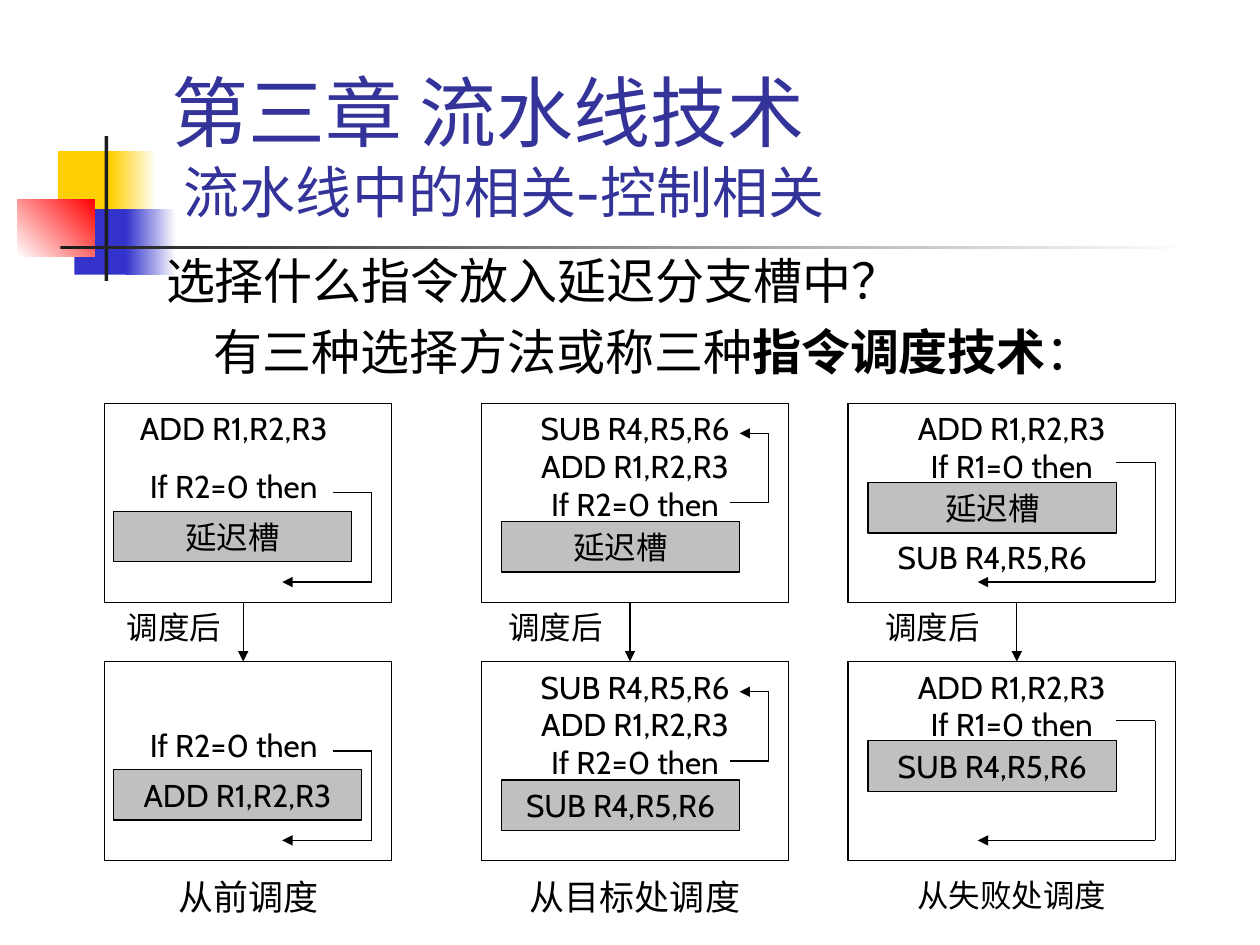
from lxml.etree import SubElement
from pptx import Presentation
from pptx.dml.color import RGBColor
from pptx.enum.shapes import MSO_CONNECTOR as CONN, MSO_SHAPE as SHAPE
from pptx.enum.text import MSO_ANCHOR as ANCHOR, MSO_AUTO_SIZE as FIT, PP_ALIGN as ALIGN
from pptx.oxml.ns import qn
from pptx.util import Inches, Pt

COLORS = {"black": "000000", "white": "FFFFFF", "slot": "C0C0C0", "title": "333399",
          "yellow": "FFCF01", "blue": "3333CC", "red": "FF0000", "ink": "1C1C1C"}
LATIN, CJK = "Cabin", "Noto Sans CJK SC"

# Grid: two rows of panels, three columns
ROW_TOP, ROW_STEP, PANEL_H = 3.2, 2.05, 1.58
CAPTION_TOP = 6.9
LINE_H, GAP = 0.3, 11.2

# Lengths inside a column are measured from its panel's top left corner
COLUMNS = [
    dict(left=0.83, width=2.28, text_w=2.05, space=GAP, slot=(0.07, 0.86), slot_w=(1.89, 1.97),
         loop=[(1.81, 0.71), (2.12, 0.71), (2.12, 1.42), (1.41, 1.42)], arrow=1.1,
         code=(["ADD R1,R2,R3", "If R2=0 then"], ["If R2=0 then"]), code_top=(0, 0.46),
         filler="ADD R1,R2,R3", after=None, caption="从前调度", size=20),
    dict(left=3.82, width=2.44, text_w=2.44, space=0, slot=(0.16, 0.94), slot_w=(1.89, 1.89),
         loop=[(1.97, 0.79), (2.28, 0.79), (2.28, 0.24), (2.05, 0.24)], arrow=1.18,
         code=(["SUB R4,R5,R6", "ADD R1,R2,R3", "If R2=0 then"],) * 2, code_top=(0, 0),
         filler="SUB R4,R5,R6", after=None, caption="从目标处调度", size=20),
    dict(left=6.73, width=2.6, text_w=2.6, space=0, slot=(0.16, 0.63), slot_w=(1.97, 1.97),
         loop=[(2.13, 0.47), (2.44, 0.47), (2.44, 1.42), (1.03, 1.42)], arrow=1.34,
         code=(["ADD R1,R2,R3", "If R1=0 then"],) * 2, code_top=(0, 0),
         filler="SUB R4,R5,R6", after="SUB R4,R5,R6", caption="从失败处调度", size=18),
]


def rgb(name):
    return RGBColor.from_string(COLORS[name])


def add_run(p, text, size=18, color="black", bold=False, font=LATIN):
    r = p.add_run()
    r.text = text
    r.font.size, r.font.bold, r.font.name = Pt(size), bold, font
    r.font.color.rgb = rgb(color)
    SubElement(r._r.get_or_add_rPr(), qn("a:ea"), typeface=font)
    return r


def write(tf, lines, align=ALIGN.CENTER, space=0, **fmt):
    """Fill a text frame with one paragraph per line."""
    tf.word_wrap = True
    for i, line in enumerate(lines):
        p = tf.add_paragraph() if i else tf.paragraphs[0]
        p.alignment = align
        p.space_before = Pt(space if i else 0)
        add_run(p, line, **fmt)


def add_text(shapes, x, y, w, lines, **fmt):
    height = 0.1 + LINE_H * len(lines)
    s = shapes.add_textbox(Inches(x), Inches(y), Inches(w), Inches(height))
    write(s.text_frame, lines, **fmt)
    return s


def add_box(shapes, x, y, w, h, fill=None, end=None, angle=0, outline=None):
    """Rectangle with a plain fill, or a gradient from fill to end."""
    s = shapes.add_shape(SHAPE.RECTANGLE, Inches(x), Inches(y), Inches(w), Inches(h))
    s.shadow.inherit = False
    if end:
        s.fill.gradient()
        s.fill.gradient_angle = angle
        for stop, name, pos in zip(s.fill.gradient_stops, (fill, end), (0, 1)):
            stop.color.rgb, stop.position = rgb(name), pos
    elif fill:
        s.fill.solid()
        s.fill.fore_color.rgb = rgb(fill)
    else:
        s.fill.background()
    if outline:
        s.line.color.rgb, s.line.width = rgb(outline), Pt(0.75)
    else:
        s.line.fill.background()
    return s


def add_path(shapes, points):
    """Straight segments through the points, with an arrowhead at the end."""
    for start, end in zip(points, points[1:]):
        c = shapes.add_connector(CONN.STRAIGHT, *map(Inches, start + end))
        c.line.color.rgb, c.line.width = rgb("black"), Pt(0.75)
        SubElement(c._element.spPr, qn("a:effectLst"))
    SubElement(c.line._get_or_add_ln(), qn("a:tailEnd"), type="triangle")


def add_decoration(shapes):
    add_box(shapes, 0.46, 1.2, 0.48, 0.52, "yellow")
    add_box(shapes, 0.88, 1.2, 0.36, 0.52, "yellow", "white")
    add_box(shapes, 0.59, 1.66, 0.46, 0.52, "blue")
    add_box(shapes, 1, 1.66, 0.4, 0.52, "blue", "white")
    add_box(shapes, 0.14, 1.58, 0.61, 0.46, "white", "red", angle=45)
    add_box(shapes, 0.83, 1.08, 0.03, 1.15, "ink")
    add_box(shapes, 0.48, 1.95, 9, 0.03, "ink", "white")


def add_title(s):
    s.left, s.top, s.width, s.height = map(Inches, (1.26, 0.23, 8.52, 1.6))
    tf = s.text_frame
    tf.auto_size, tf.vertical_anchor = FIT.NONE, ANCHOR.BOTTOM
    p = tf.paragraphs[0]
    p.alignment = ALIGN.LEFT
    add_run(p, "第三章 流水线技术", size=44, color="title", font=CJK)
    p.add_line_break()
    add_run(p, " 流水线中的相关-控制相关", size=32, color="title")


def add_intro(shapes):
    s = add_text(shapes, 1.22, 1.94, 8.5, ["选择什么指令放入延迟分支槽中？", "有三种选择方法或称三种"],
                 align=ALIGN.LEFT, space=7, size=28)
    s.height = Inches(1.15)
    p = s.text_frame.paragraphs[1]
    p._p.get_or_add_pPr().set("marL", str(Inches(0.38)))
    add_run(p, "指令调度技术", size=28, bold=True)
    add_run(p, "：", size=28)


def add_panel(slide, col, row):
    shapes = slide.shapes.add_group_shape().shapes
    x, y = col["left"], ROW_TOP + row * ROW_STEP
    add_box(shapes, x, y, col["width"], PANEL_H, outline="black")
    add_text(shapes, x, y + col["code_top"][row], col["text_w"], col["code"][row],
             space=col["space"])
    # Delay slot: empty before scheduling, filled after it
    dx, dy = col["slot"]
    slot_w = col["slot_w"][row]
    slot = add_box(shapes, x + dx, y + dy, slot_w, 0.4, "slot", outline="black")
    slot.text_frame.vertical_anchor = ANCHOR.MIDDLE
    write(slot.text_frame, [col["filler"] if row else "延迟槽"])
    if col["after"] and not row:
        add_text(shapes, x + dx, y + dy + 0.39, slot_w, [col["after"]])
    add_path(shapes, [(x + px, y + py) for px, py in col["loop"]])


def add_column(slide, col):
    for row in range(2):
        add_panel(slide, col, row)
    # Step between the panels, and the caption below
    x, y = col["left"], ROW_TOP + PANEL_H
    arrow_x = x + col["arrow"]
    add_path(slide.shapes, [(arrow_x, y), (arrow_x, ROW_TOP + ROW_STEP)])
    add_text(slide.shapes, x, y, col["arrow"], ["调度后"])
    add_text(slide.shapes, x, CAPTION_TOP, col["width"], [col["caption"]], size=col["size"])


def main():
    prs = Presentation()
    prs.slide_width, prs.slide_height = Inches(10), Inches(7.5)
    slide = prs.slides.add_slide(prs.slide_layouts[5])
    add_decoration(slide.shapes)
    add_title(slide.shapes.title)
    add_intro(slide.shapes)
    for col in COLUMNS:
        add_column(slide, col)
    prs.save("out.pptx")


if __name__ == "__main__":
    main()
